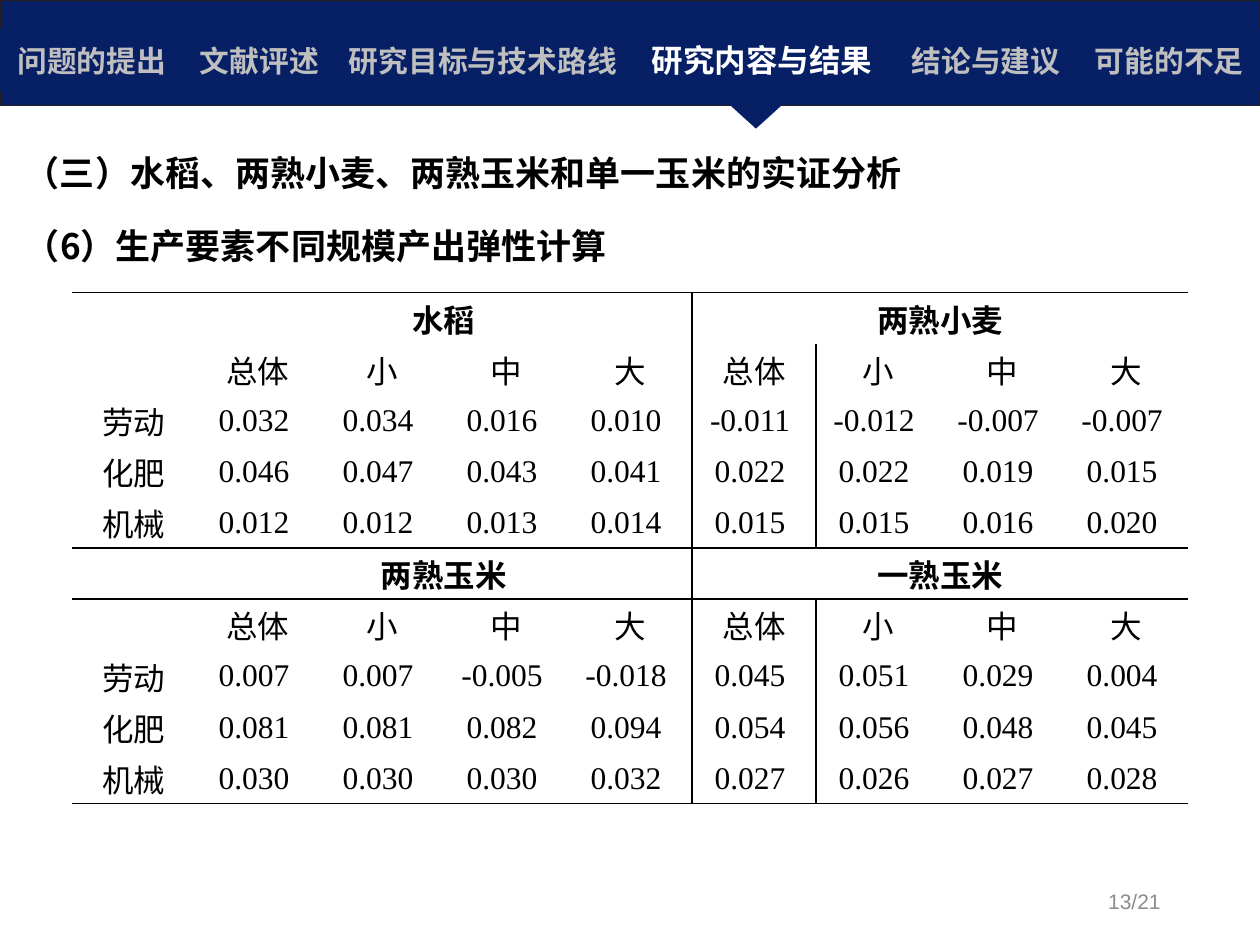
from lxml import etree
from pptx import Presentation as Deck
from pptx.dml.color import RGBColor as Rgb
from pptx.enum.shapes import MSO_SHAPE as Geo
from pptx.enum.text import MSO_ANCHOR as Anchor, PP_ALIGN as Align
from pptx.oxml.ns import qn
from pptx.util import Pt

HUES = {"navy": "071F65", "edge": "24211D", "ink": "000000",
        "mute": "BFBFBF", "white": "FFFFFF", "page": "8C8C8C"}
HAN = "Noto Sans CJK SC"
PLAIN = "{2D5ABB26-0587-4C30-8999-92F81FD0307C}"
TABS = [("问题的提出", 105), ("文献评述", 86.5), ("研究目标与技术路线", 169),
        ("研究内容与结果", 150), ("结论与建议", 106), ("可能的不足", 103.5)]
LIVE = 3
SIZES = ["总体", "小", "中", "大"] * 2
BLOCKS = [
    (("水稻", "两熟小麦"), {
        "劳动": "0.032 0.034 0.016 0.010 -0.011 -0.012 -0.007 -0.007",
        "化肥": "0.046 0.047 0.043 0.041 0.022 0.022 0.019 0.015",
        "机械": "0.012 0.012 0.013 0.014 0.015 0.015 0.016 0.020"}),
    (("两熟玉米", "一熟玉米"), {
        "劳动": "0.007 0.007 -0.005 -0.018 0.045 0.051 0.029 0.004",
        "化肥": "0.081 0.081 0.082 0.094 0.054 0.056 0.048 0.045",
        "机械": "0.030 0.030 0.030 0.032 0.027 0.026 0.027 0.028"}),
]


def hue(name):
    return Rgb.from_string(HUES[name])


def write(par, text, size=18, font="Times New Roman", color="ink",
          bold=False, align=Align.CENTER, before=0, after=0):
    par.alignment = align
    par.space_before, par.space_after = Pt(before), Pt(after)
    run = par.add_run()
    run.text = text
    face = run.font
    face.size, face.name, face.bold = Pt(size), font, bold
    face.color.rgb = hue(color)
    east = etree.SubElement(run._r.get_or_add_rPr(), qn("a:ea"))
    east.set("typeface", HAN)


def box(slide, x, y, w, h):
    frame = slide.shapes.add_textbox(Pt(x), Pt(y), Pt(w), Pt(h)).text_frame
    frame.word_wrap = True
    return frame


def block(slide, geo, x, y, w, h):
    shape = slide.shapes.add_shape(geo, Pt(x), Pt(y), Pt(w), Pt(h))
    shape.shadow.inherit = False
    shape.fill.solid()
    shape.fill.fore_color.rgb = hue("navy")
    shape.line.fill.background()
    return shape


def grid(slide, x, y, cols, rows):
    frame = slide.shapes.add_table(len(rows), len(cols), Pt(x), Pt(y),
                                   Pt(sum(cols)), Pt(sum(rows)))
    table = frame.table
    table.first_row = table.horz_banding = False
    table._tbl.tblPr.find(qn("a:tableStyleId")).text = PLAIN
    for col, wide in zip(table.columns, cols):
        col.width = Pt(wide)
    for row, high in zip(table.rows, rows):
        row.height = Pt(high)
    for cell in table.iter_cells():
        cell.vertical_anchor = Anchor.MIDDLE
        cell.fill.background()
    return table


def rule(cell, sides):
    props = cell._tc.get_or_add_tcPr()
    for spot, side in enumerate(s for s in "LRTB" if s in sides):
        line = etree.Element(qn(f"a:ln{side}"), w=str(Pt(1)))
        fill = etree.SubElement(line, qn("a:solidFill"))
        etree.SubElement(fill, qn("a:srgbClr"), val=HUES["ink"])
        props.insert(spot, line)


def titles(slide):
    frame = box(slide, 7.2, 82.8, 712.8, 146.9)
    look = dict(size=20, font=HAN, bold=True, align=Align.LEFT)
    write(frame.paragraphs[0], "（三）水稻、两熟小麦、两熟玉米和单一玉米的实证分析",
          before=12, after=12, **look)
    write(frame.add_paragraph(), "（6）生产要素不同规模产出弹性计算",
          before=6, after=6, **look)


def results(slide):
    table = grid(slide, 41.1, 167.1, [70.87] * 9, [29.2] * 10)
    for r in range(10):
        for c in range(9):
            cell = table.cell(r, c)
            cell.margin_left = cell.margin_right = cell.margin_top = Pt(0.7)
            cell.margin_bottom = 0
            rule(cell, "T" * (r % 5 == 0) + "B" * (r % 5 == 4)
                 + "R" * (c == 4) + "L" * (c == 5))
    for n, (crops, data) in enumerate(BLOCKS):
        top = n * 5
        for c, crop in zip((1, 5), crops):
            head = table.cell(top, c)
            head.merge(table.cell(top, c + 3))
            write(head.text_frame.paragraphs[0], crop, bold=True)
        lines = [[""] + SIZES]
        for name, nums in data.items():
            lines.append([name] + [num + " " for num in nums.split()])
        for r, line in enumerate(lines, top + 1):
            for c, text in enumerate(line):
                if text:
                    write(table.cell(r, c).text_frame.paragraphs[0], text)


def header(slide):
    band = block(slide, Geo.RECTANGLE, 0, 0, 720, 60.5)
    band.line.color.rgb = hue("edge")
    band.line.width = Pt(0)
    table = grid(slide, 0, 15.8, [wide for _, wide in TABS], [36])
    for c, (text, _) in enumerate(TABS):
        cell = table.cell(0, c)
        cell.fill.solid()
        cell.fill.fore_color.rgb = hue("navy")
        live = c == LIVE
        write(cell.text_frame.paragraphs[0], text, font="Arial", bold=True,
              size=18 if live else 17, color="white" if live else "mute")
    block(slide, Geo.FLOWCHART_MERGE, 416.9, 59.8, 30.2, 13.7)


def number(slide):
    frame = box(slide, 508.3, 500.4, 162, 28.8)
    frame.vertical_anchor = Anchor.MIDDLE
    write(frame.paragraphs[0], "13/21", size=12, font="Arial",
          color="page", align=Align.RIGHT)


def main():
    deck = Deck()
    deck.slide_width, deck.slide_height = Pt(720), Pt(540)
    slide = deck.slides.add_slide(deck.slide_layouts[6])
    titles(slide)
    results(slide)
    number(slide)
    header(slide)
    deck.save("out.pptx")


if __name__ == "__main__":
    main()
